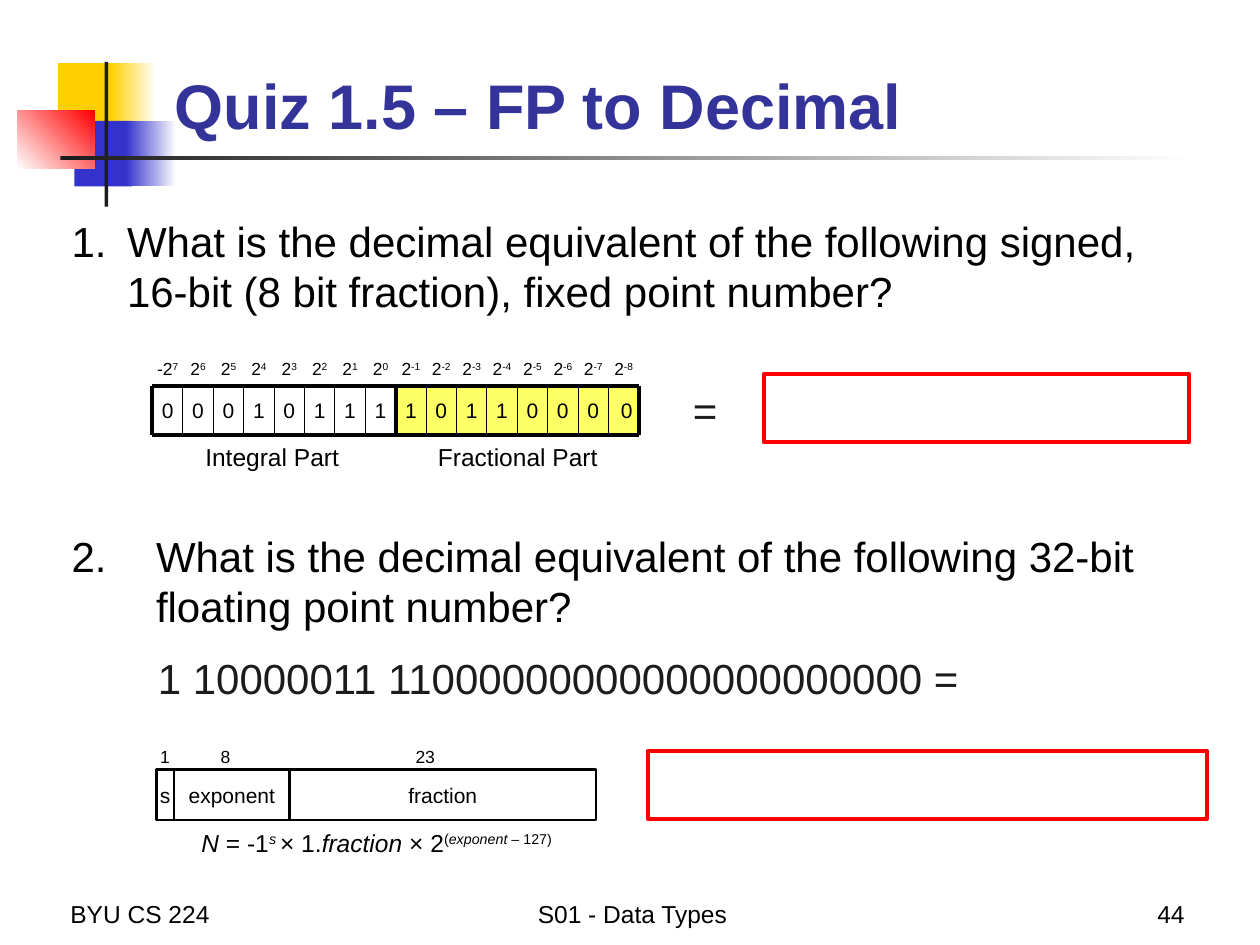
"""Build a quiz slide about fixed and floating point numbers."""
import pptx
import pptx.dml.color
import pptx.enum.shapes
import pptx.enum.text
import pptx.oxml.ns
import pptx.util
from lxml import etree

Inches = pptx.util.Inches
Pt = pptx.util.Pt
RGBColor = pptx.dml.color.RGBColor
Align = pptx.enum.text.PP_ALIGN
Anchor = pptx.enum.text.MSO_ANCHOR
qn = pptx.oxml.ns.qn

BLACK = RGBColor(0x00, 0x00, 0x00)
CHARCOAL = RGBColor(0x1C, 0x1C, 0x1C)
WHITE = RGBColor(0xFF, 0xFF, 0xFF)
GOLD = RGBColor(0xFF, 0xCF, 0x01)
BLUE = RGBColor(0x33, 0x33, 0xCC)
TITLE_BLUE = RGBColor(0x33, 0x33, 0x99)
RED = RGBColor(0xFF, 0x00, 0x00)
YELLOW = RGBColor(0xFF, 0xFF, 0x66)

BITS = "0001011110110000"
INTEGRAL_BITS = 8
GRID_LEFT, GRID_RIGHT = 1.21, 5.07
GRID_TOP, GRID_BOTTOM = 3.06, 3.45
DEFAULT_INSET = (0.1, 0.05)


def write(shape, text, size=24, color=BLACK, bold=False, align=Align.LEFT,
          anchor=Anchor.TOP, inset=DEFAULT_INSET, wrap=True, before=0):
    """Write a string, or (string, italic, raised) spans, into a shape."""
    frame = shape.text_frame
    frame.word_wrap = wrap
    frame.vertical_anchor = anchor
    frame.margin_left = frame.margin_right = Inches(inset[0])
    frame.margin_top = frame.margin_bottom = Inches(inset[1])
    para = frame.paragraphs[0]
    para.alignment = align
    para.space_before = Pt(before * size)
    spans = [(text, False, False)] if isinstance(text, str) else text
    for words, italic, raised in spans:
        span = para.add_run()
        span.text = words
        span.font.name = "Arial"
        span.font.size = Pt(size)
        span.font.bold = bold
        span.font.italic = italic
        span.font.color.rgb = color
        if raised:
            span.font._element.set("baseline", "30000")
    return para


def add_text(shapes, text, left, top, width, height, **style):
    """Add a text box and return its paragraph."""
    box = shapes.add_textbox(Inches(left), Inches(top), Inches(width), Inches(height))
    return write(box, text, **style)


def add_rect(shapes, left, top, width, height, fill=None, line=None, weight=2.25):
    """Add a rectangle with an optional fill and outline."""
    rect = shapes.add_shape(pptx.enum.shapes.MSO_SHAPE.RECTANGLE, Inches(left),
                            Inches(top), Inches(width), Inches(height))
    rect.shadow.inherit = False
    if fill is None:
        rect.fill.background()
    else:
        rect.fill.solid()
        rect.fill.fore_color.rgb = fill
    if line is None:
        rect.line.fill.background()
    else:
        rect.line.color.rgb = line
        rect.line.width = Pt(weight)
    return rect


def add_fade(shapes, left, top, width, height, start, end, angle=0):
    """Add a rectangle that fades from one colour to another."""
    rect = add_rect(shapes, left, top, width, height)
    rect.fill.gradient()
    rect.fill.gradient_angle = angle
    for stop, position, color in zip(rect.fill.gradient_stops, (0, 1), (start, end)):
        stop.position = position
        stop.color.rgb = color


def add_line(shapes, x1, y1, x2, y2, weight):
    """Add a straight black line."""
    line = shapes.add_connector(pptx.enum.shapes.MSO_CONNECTOR.STRAIGHT,
                                Inches(x1), Inches(y1), Inches(x2), Inches(y2))
    line.line.color.rgb = BLACK
    line.line.width = Pt(weight)
    etree.SubElement(line._element.spPr, qn("a:effectLst"))


def add_question(shapes, number, text, left, top, width, height, indent):
    """Add an automatically numbered question."""
    para = add_text(shapes, text, left, top, width, height, before=0.2)
    props = para._p.get_or_add_pPr()
    props.set("marL", str(Inches(indent)))
    props.set("indent", str(-Inches(indent)))
    color = etree.SubElement(props, qn("a:buClr"))
    etree.SubElement(color, qn("a:srgbClr")).set("val", str(BLACK))
    bullet = etree.SubElement(props, qn("a:buAutoNum"))
    bullet.set("type", "arabicPeriod")
    bullet.set("startAt", str(number))


def add_ornament(shapes):
    """Add the coloured blocks and rules around the title."""
    add_rect(shapes, 0.46, 0.5, 0.48, 0.52, GOLD)
    add_fade(shapes, 0.88, 0.5, 0.36, 0.52, GOLD, WHITE)
    add_rect(shapes, 0.59, 0.96, 0.46, 0.52, BLUE)
    add_fade(shapes, 1, 0.96, 0.4, 0.52, BLUE, WHITE)
    add_fade(shapes, 0.14, 0.88, 0.61, 0.46, WHITE, RED, angle=45)
    add_rect(shapes, 0.83, 0.49, 0.03, 1.15, CHARCOAL)
    add_fade(shapes, 0.48, 1.24, 9, 0.03, CHARCOAL, WHITE)


def add_fixed_point(shapes):
    """Add the row of weighted bits with its two part labels."""
    pitch = (GRID_RIGHT - GRID_LEFT) / len(BITS)
    centred = dict(align=Align.CENTER, anchor=Anchor.MIDDLE, inset=(0, 0), before=0.2)
    add_text(shapes, "Fractional Part", 3.17, 3.36, 1.88, 0.53, size=14, **centred)
    add_text(shapes, "Integral Part", 1.07, 3.36, 2.18, 0.53, size=14, **centred)
    for index, bit in enumerate(BITS):
        left = GRID_LEFT + index * pitch
        power = str(INTEGRAL_BITS - 1 - index)
        base = "-2" if index == 0 else "2"
        add_text(shapes, [(base, False, False), (power, False, True)],
                 left, 2.79, pitch, 0.27, size=10, **centred)
        fill = YELLOW if index >= INTEGRAL_BITS else None
        cell = add_rect(shapes, left, GRID_TOP, pitch, GRID_BOTTOM - GRID_TOP, fill)
        last = index == len(BITS) - 1
        write(cell, bit, size=12, **{**centred, "inset": DEFAULT_INSET if last else (0, 0)})
    for index in range(len(BITS) + 1):
        x = GRID_LEFT + index * pitch
        weight = 0.5 if index % INTEGRAL_BITS else 2.25
        add_line(shapes, x, GRID_TOP, x, GRID_BOTTOM, weight)
    for y in (GRID_TOP, GRID_BOTTOM):
        add_line(shapes, GRID_LEFT, y, GRID_RIGHT, y, 2.25)


def add_floating_point(shapes):
    """Add the floating point fields, their widths and the formula."""
    centred = dict(align=Align.CENTER, anchor=Anchor.MIDDLE, wrap=False)
    for name, left, width in (("s", 1.24, 0.14), ("exponent", 1.38, 0.92),
                              ("fraction", 2.3, 2.43)):
        field = add_rect(shapes, left, 6.11, width, 0.4, line=BLACK, weight=1.5)
        write(field, name, size=12, **centred)
    for count, left, width in (("1", 1.17, 0.28), ("8", 1.65, 0.28), ("23", 3.2, 0.35)):
        add_text(shapes, count, left, 5.87, width, 0.27, size=10, inset=(0, 0.05),
                 **centred)
    formula = [("N", True, False), (" = -1", False, False), ("s ", True, True),
               ("× 1.", False, False), ("fraction", True, False),
               (" × 2", False, False), ("(", False, True),
               ("exponent", True, True), (" – 127)", False, True)]
    add_text(shapes, formula, 1.01, 6.52, 3.96, 0.33, size=14,
             align=Align.CENTER, before=0.5)


def main():
    """Build and save the slide."""
    deck = pptx.Presentation()
    deck.slide_width, deck.slide_height = Inches(10), Inches(7.5)
    page = deck.slides.add_slide(deck.slide_layouts[6])
    shapes = page.shapes
    add_ornament(shapes)
    for text, left, width, align in (("BYU CS 224", 0.46, 2.08, Align.LEFT),
                                     ("S01 - Data Types", 2.92, 4.2, Align.CENTER),
                                     ("44", 7.42, 2.08, Align.RIGHT)):
        add_text(shapes, text, left, 6.92, width, 0.5, size=14, align=align,
                 anchor=Anchor.BOTTOM)
    add_text(shapes, "Quiz 1.5 – FP to Decimal", 1.29, 0.23, 8.52, 0.95, size=36,
             color=TITLE_BLUE, bold=True, anchor=Anchor.BOTTOM)
    add_question(shapes, 1, "What is the decimal equivalent of the following signed, "
                 "16-bit (8 bit fraction), fixed point number?", 0.47, 1.66, 8.97, 1.09, 0.44)
    add_fixed_point(shapes.add_group_shape().shapes)
    add_rect(shapes, 6.06, 2.97, 3.38, 0.54, line=RED)
    add_text(shapes, "=", 5.4, 3, 0.4, 0.5, color=CHARCOAL, wrap=False)
    add_question(shapes, 2, "What is the decimal equivalent of the following 32-bit "
                 "floating point number?", 0.47, 4.16, 9, 1.05, 0.67)
    add_text(shapes, "1 10000011 11000000000000000000000 =", 1.12, 5.13, 6.62, 0.5,
             color=CHARCOAL, align=Align.CENTER, wrap=False)
    add_rect(shapes, 5.14, 5.96, 4.44, 0.54, line=RED)
    add_floating_point(shapes.add_group_shape().shapes)
    deck.save("out.pptx")


main()
